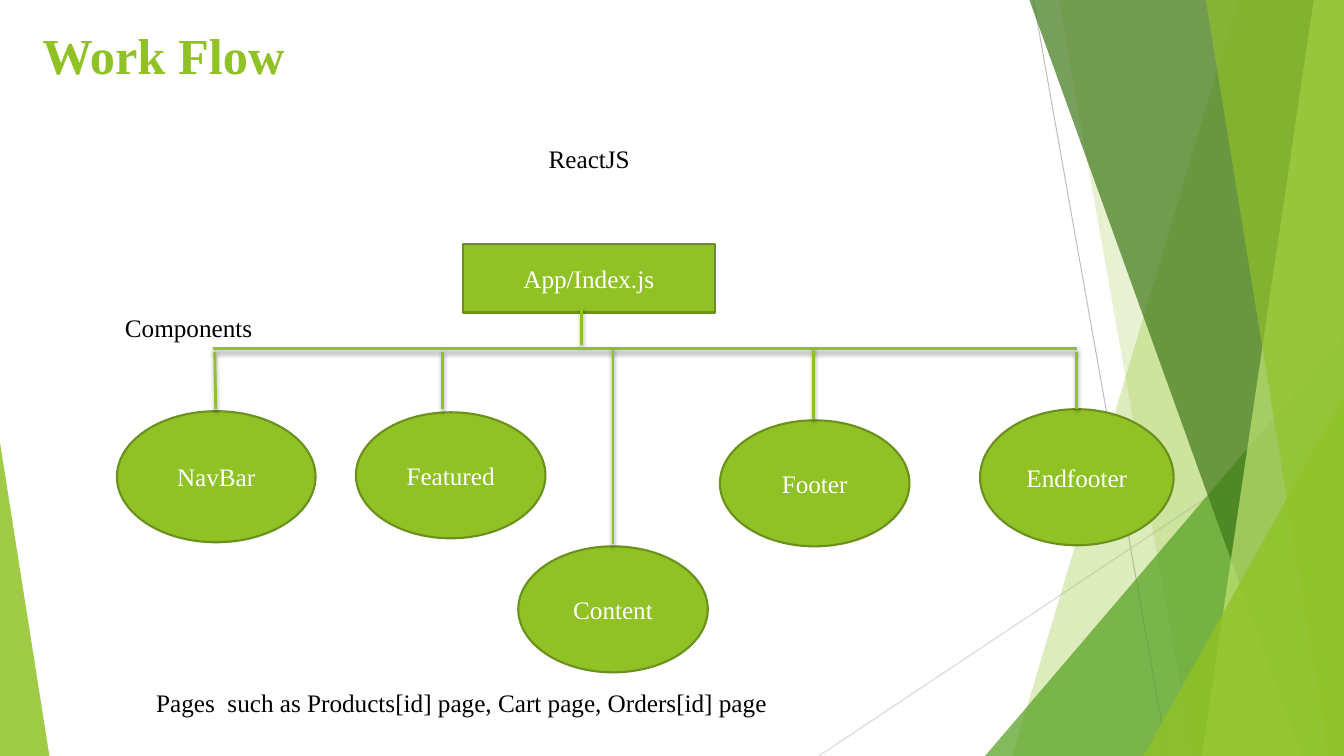
from lxml.etree import SubElement
from pptx import Presentation
from pptx.dml.color import RGBColor
from pptx.enum.shapes import MSO_CONNECTOR, MSO_SHAPE
from pptx.enum.text import MSO_ANCHOR, PP_ALIGN
from pptx.oxml.ns import qn
from pptx.util import Inches, Pt

WIDTH, HEIGHT = 13.33, 7.5
GREEN, DARK_GREEN, WHITE, BLACK = "90C226", "6B901C", "FFFFFF", "000000"
FONT = "Times New Roman"


def paint(shape, colour, opacity=100, border=None):
    shape.shadow.inherit = False
    shape.fill.solid()
    shape.fill.fore_color.rgb = RGBColor.from_string(colour)
    if opacity < 100:
        colour_node = shape._element.spPr.find(qn("a:solidFill"))[0]
        SubElement(colour_node, qn("a:alpha"), val=str(opacity * 1000))
    if border:
        shape.line.color.rgb = RGBColor.from_string(border)
        shape.line.width = Pt(1.5)
    else:
        shape.line.fill.background()


def draw_line(x1, y1, x2, y2, colour, width, shadow=False):
    line = slide.shapes.add_connector(
        MSO_CONNECTOR.STRAIGHT, Inches(x1), Inches(y1), Inches(x2), Inches(y2))
    line.line.color.rgb = RGBColor.from_string(colour)
    line.line.width = Pt(width)
    effects = SubElement(line._element.spPr, qn("a:effectLst"))
    if shadow:
        cast = SubElement(effects, qn("a:outerShdw"), blurRad=str(Pt(3)),
                          dist=str(Pt(2)), dir="5400000", rotWithShape="0")
        shade = SubElement(cast, qn("a:srgbClr"), val=BLACK)
        SubElement(shade, qn("a:alpha"), val="35000")


deck = Presentation()
deck.slide_width, deck.slide_height = Inches(WIDTH), Inches(HEIGHT)
slide = deck.slides.add_slide(deck.slide_layouts[5])

# Thin background lines
draw_line(10.25, 0, 11.58, HEIGHT, "BFBFBF", 0.75)
draw_line(WIDTH, 4.03, 8.12, HEIGHT, "D9D9D9", 0.75)

# Translucent facets, all reaching the right and bottom edges
facets = [  # apex x, apex y, foot x, colour, opacity
    (12.28, 0, 10.04, GREEN, 30),
    (10.5, 0, 11.83, GREEN, 20),
    (WIDTH, 3.33, 9.77, "54A021", 72),
    (10.21, 0, 12.91, "3F7819", 70),
    (13.03, 0, 11.92, "C0E474", 70),
    (11.96, 0, 13.18, GREEN, 65),
    (WIDTH, 3.93, 11.34, GREEN, 80),
]
for apex_x, apex_y, foot_x, colour, opacity in facets:
    if apex_x == WIDTH:
        facet = slide.shapes.add_shape(
            MSO_SHAPE.ISOSCELES_TRIANGLE, Inches(foot_x), Inches(apex_y),
            Inches(WIDTH - foot_x), Inches(HEIGHT - apex_y))
        facet.adjustments[0] = 1
    else:
        outline = slide.shapes.build_freeform(Inches(apex_x), Inches(apex_y))
        corners = [(WIDTH, apex_y), (WIDTH, HEIGHT), (foot_x, HEIGHT)]
        outline.add_line_segments([(Inches(x), Inches(y)) for x, y in corners])
        facet = outline.convert_to_shape()
    paint(facet, colour, opacity)

# Wedge in the lower left corner
wedge = slide.shapes.add_shape(
    MSO_SHAPE.ISOSCELES_TRIANGLE, 0, Inches(4.39), Inches(0.49), Inches(HEIGHT - 4.39))
wedge.adjustments[0] = 0
paint(wedge, GREEN, 85)

# Title
title = slide.shapes.title
title.left, title.top, title.width, title.height = map(Inches, (0.32, 0.13, 9.4, 0.87))
title.text_frame.text = "Work Flow"
title.text_frame.vertical_anchor = MSO_ANCHOR.TOP
title.text_frame.margin_top = Inches(0.11)
heading = title.text_frame.paragraphs[0]
heading.alignment = PP_ALIGN.LEFT
heading.font.name, heading.font.size, heading.font.bold = FONT, Pt(36), True
heading.font.color.rgb = RGBColor.from_string(GREEN)

# App entry point and its components
PROCESS, OVAL = MSO_SHAPE.FLOWCHART_PROCESS, MSO_SHAPE.FLOWCHART_CONNECTOR
nodes = [
    ("App/Index.js", PROCESS, 4.59, 2.42, 2.5, 0.68),
    ("NavBar", OVAL, 1.16, 4.08, 1.97, 1.3),
    ("Featured", OVAL, 3.53, 4.09, 1.88, 1.25),
    ("Content", OVAL, 5.14, 5.42, 1.88, 1.25),
    ("Footer", OVAL, 7.14, 4.17, 1.88, 1.25),
    ("Endfooter", OVAL, 9.72, 4.06, 1.92, 1.35),
]
labels = []  # text frame, text, colour, alignment
for name, outline, *box in nodes:
    node = slide.shapes.add_shape(outline, *map(Inches, box))
    paint(node, GREEN, border=DARK_GREEN)
    node.text_frame.vertical_anchor = MSO_ANCHOR.MIDDLE
    labels.append((node.text_frame, name, WHITE, PP_ALIGN.CENTER))

# Tree lines: trunk, crossbar and one branch per component
crossbar = 3.46
branches = [
    (5.77, 3.05, 5.77, 3.42),
    (2.11, crossbar, 10.68, crossbar),
    (2.13, 3.49, 2.14, 4.06),
    (4.39, 3.49, 4.39, 4.06),
    (6.08, crossbar, 6.08, 5.4),
    (8.07, crossbar, 8.07, 4.16),
    (10.68, 3.49, 10.68, 4.06),
]
for branch in branches:
    draw_line(*branch, GREEN, 2, shadow=True)

# Captions
captions = [
    ("ReactJS", PP_ALIGN.CENTER, True, 5.01, 1.37, 1.67, 0.71),
    ("Components", PP_ALIGN.LEFT, True, 1.14, 3.05, 1.58, 0.4),
    ("Pages  such as Products[id] page, Cart page, Orders[id] page",
     PP_ALIGN.LEFT, False, 1.45, 6.77, 6.32, 0.71),
]
for text, alignment, wraps, *box in captions:
    caption = slide.shapes.add_textbox(*map(Inches, box))
    caption.text_frame.word_wrap = wraps
    labels.append((caption.text_frame, text, BLACK, alignment))

# Wording of nodes and captions
for frame, text, colour, alignment in labels:
    frame.text = text
    paragraph = frame.paragraphs[0]
    paragraph.alignment = alignment
    paragraph.font.name, paragraph.font.size = FONT, Pt(18)
    paragraph.font.color.rgb = RGBColor.from_string(colour)

deck.save("out.pptx")
